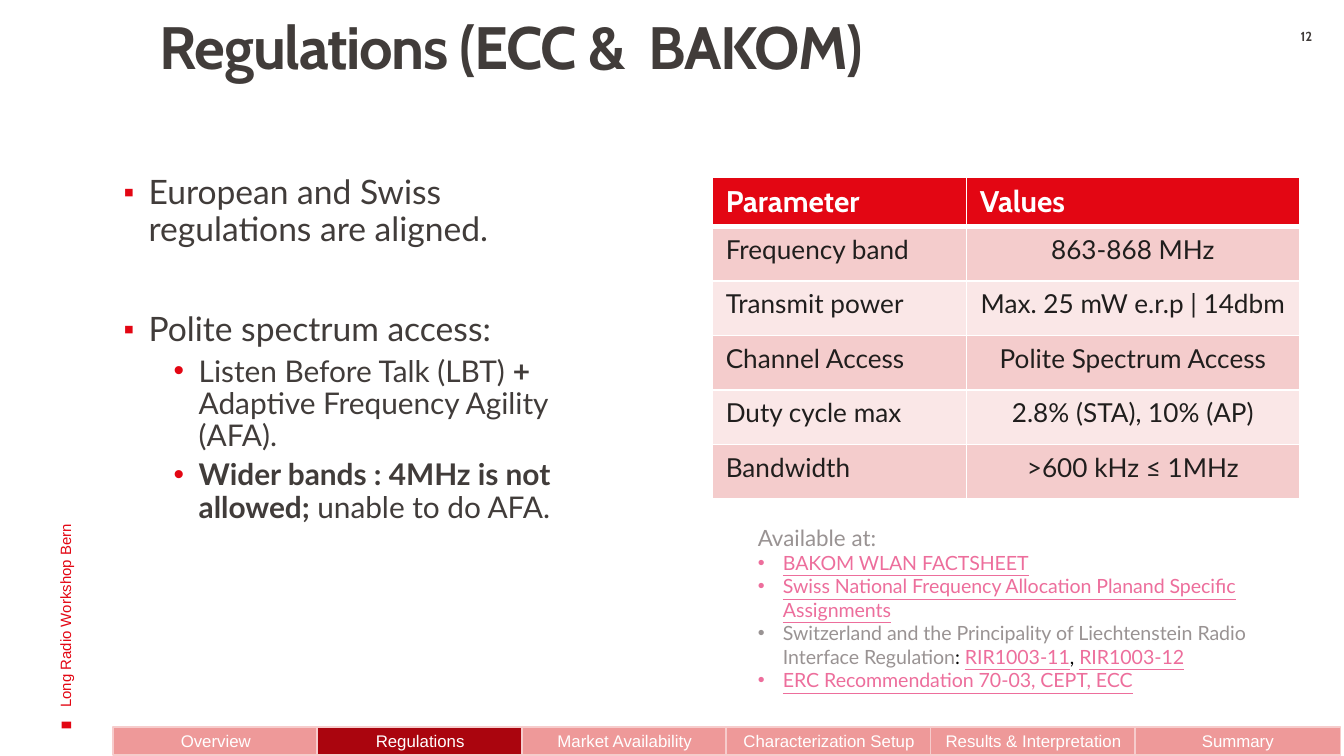
from dataclasses import dataclass

from lxml import etree
from pptx import Presentation
from pptx.dml.color import RGBColor
from pptx.enum.shapes import MSO_SHAPE
from pptx.enum.text import MSO_ANCHOR, MSO_AUTO_SIZE, PP_ALIGN
from pptx.oxml.ns import qn
from pptx.util import Pt

RECT = MSO_SHAPE.RECTANGLE
LEFT, MID = PP_ALIGN.LEFT, PP_ALIGN.CENTER
TOP, CENTRE = MSO_ANCHOR.TOP, MSO_ANCHOR.MIDDLE
NO_FIT = MSO_AUTO_SIZE.NONE


@dataclass(frozen=True)
class Theme:
    head: str = "Cabin"
    body: str = "Lato"
    plain: str = "Arial"
    red: str = "E30613"
    dark: str = "AA050E"
    rose: str = "EE9999"
    edge: str = "F6CCCC"
    odd: str = "F4CCCC"
    even: str = "FAE7E7"
    ink: str = "413C3A"
    cell: str = "201E1D"
    grey: str = "999393"
    link: str = "ED6E9C"
    black: str = "000000"
    white: str = "FFFFFF"
    title: float = 32
    main: float = 18
    sub: float = 16
    data: float = 14
    note: float = 12
    ref: float = 10.5
    tab: float = 9
    side: float = 8
    page: float = 7


T = Theme()
TABS = ["Overview", "Regulations", "Market Availability",
        "Characterization Setup", "Results & Interpretation", "Summary"]
ROWS = [("Parameter", "Values"),
        ("Frequency band", "863-868 MHz"),
        ("Transmit power", "Max. 25 mW e.r.p | 14dbm"),
        ("Channel Access", "Polite Spectrum Access"),
        ("Duty cycle max", "2.8% (STA), 10% (AP)"),
        ("Bandwidth", ">600 kHz ≤ 1MHz")]


def tint(hue):
    return RGBColor.from_string(hue)


def write(para, text, font=T.body, size=T.data, hue=T.ink, bold=False,
          line=False, align=None, track=None):
    """Add one run of text to a paragraph."""
    run = para.add_run()
    run.text = text
    face = run.font
    face.name, face.size, face.bold = font, Pt(size), bold
    face.color.rgb = tint(hue)
    if line:
        face.underline = True
    if align is not None:
        para.alignment = align
    if track is not None:
        run._r.get_or_add_rPr().set("spc", str(round(track * 100)))


def bullet(para, mark, hue, left=13.5, scale=100):
    """Give a paragraph a hanging bullet."""
    props = para._p.get_or_add_pPr()
    props.set("marL", str(Pt(left)))
    props.set("indent", str(-Pt(13.5)))
    shade = etree.SubElement(props, qn("a:buClr"))
    etree.SubElement(shade, qn("a:srgbClr"), val=hue)
    etree.SubElement(props, qn("a:buSzPct"), val=str(scale * 1000))
    etree.SubElement(props, qn("a:buFont"), typeface=T.plain)
    etree.SubElement(props, qn("a:buChar"), char=mark)


def place(shape, x, y, w, h):
    shape.left, shape.top, shape.width, shape.height = map(Pt, (x, y, w, h))


def inset(frame, left, top, right, base):
    frame.margin_left, frame.margin_top = Pt(left), Pt(top)
    frame.margin_right, frame.margin_bottom = Pt(right), Pt(base)


def label(slide, x, y, w, h):
    """Add a wrapping text box."""
    box = slide.shapes.add_textbox(*map(Pt, (x, y, w, h)))
    box.text_frame.word_wrap = True
    return box


def block(slide, x, y, w, h, fill, edge=None):
    """Add a flat rectangle."""
    shape = slide.shapes.add_shape(RECT, *map(Pt, (x, y, w, h)))
    shape.shadow.inherit = False
    shape.fill.solid()
    shape.fill.fore_color.rgb = tint(fill)
    if edge:
        shape.line.color.rgb = tint(edge)
        shape.line.width = Pt(1)
    else:
        shape.line.fill.background()
    return shape


def border(cell, base):
    """Draw white cell edges, with the bottom one as thick as base."""
    props = cell._tc.get_or_add_tcPr()
    for side, width in (("L", 1), ("R", 1), ("T", 1), ("B", base)):
        line = etree.SubElement(props, qn("a:ln" + side), w=str(Pt(width)))
        fill = etree.SubElement(line, qn("a:solidFill"))
        etree.SubElement(fill, qn("a:srgbClr"), val=T.white)


def heading(slide):
    title = slide.shapes.title
    place(title, 71.3, 9.4, 503.3, 84.2)
    frame = title.text_frame
    frame.auto_size, frame.vertical_anchor = NO_FIT, TOP
    inset(frame, 14.4, 0, 5.8, 3.6)
    para = frame.paragraphs[0]
    para.line_spacing = 0.9
    write(para, "Regulations (ECC &  BAKOM)", font=T.head, size=T.title,
          bold=True, align=LEFT, track=-0.7)


def margin(slide):
    """Page number and the upright event name."""
    page = label(slide, 679.7, 15.1, 40.3, 13).text_frame
    inset(page, 7.2, 0, 7.2, 0)
    write(page.paragraphs[0], "12", font=T.head, size=T.page, bold=True,
          align=MID)
    block(slide, 33.8, 385.9, 3.6, 5, T.red).rotation = 270
    event = label(slide, -96.5, 218.9, 262.8, 72)
    event.rotation = 270
    event.text_frame.vertical_anchor = CENTRE
    write(event.text_frame.paragraphs[0], "Long Radio Workshop Bern",
          font=T.plain, size=T.side, hue=T.red)


def tabs(slide):
    for i, name in enumerate(TABS):
        fill = T.dark if name == "Regulations" else T.rose
        tab = block(slide, 60.5 + 109.5 * i, 389.5, 110.2, 15.1, fill, T.edge)
        frame = tab.text_frame
        frame.vertical_anchor = CENTRE
        inset(frame, 0, 0, 0, 0)
        write(frame.paragraphs[0], name, font=T.plain, size=T.tab,
              hue=T.white, align=MID)


def points(slide):
    frame = label(slide, 51.8, 90.7, 283, 262.8).text_frame
    inset(frame, 14.4, 3.6, 7.2, 3.6)
    # Level, space before, then (text, bold) pieces
    items = [
        (0, 0, [("European and Swiss regulations are aligned.", False)]),
        (0, 34.5, [("Polite spectrum access:", False)]),
        (1, 3.8, [("Listen Before Talk (LBT) ", False), ("+ ", True),
                  ("Adaptive Frequency Agility (AFA).", False)]),
        (1, 3.8, [("Wider bands : 4MHz is not allowed; ", True),
                  ("unable to do AFA.", False)]),
    ]
    for i, (level, gap, parts) in enumerate(items):
        para = frame.add_paragraph() if i else frame.paragraphs[0]
        if level:
            para.level = level
            bullet(para, "•", T.red, left=40.3)
        else:
            bullet(para, "▪", T.red, scale=90)
        para.line_spacing, para.space_before = 0.9, Pt(gap)
        for text, bold in parts:
            write(para, text, size=T.sub if level else T.main, bold=bold)


def limits(slide):
    """Table of the radio limits."""
    grid = slide.shapes.add_table(
        len(ROWS), 2, *map(Pt, (381.6, 95, 314.6, 171.8))).table
    for col, width in zip(grid.columns, (136.1, 178.5)):
        col.width = Pt(width)
    for r, row in enumerate(ROWS):
        grid.rows[r].height = Pt(29.2 if r else 25.8)
        fill = (T.odd if r % 2 else T.even) if r else T.red
        for c, text in enumerate(row):
            cell = grid.cell(r, c)
            border(cell, 1 if r else 3)
            cell.fill.solid()
            cell.fill.fore_color.rgb = tint(fill)
            para = cell.text_frame.paragraphs[0]
            if r:
                write(para, text, hue=T.cell, align=MID if c else LEFT)
            else:
                write(para, text, font=T.head, size=T.sub, hue=T.white,
                      bold=True)


def links(slide):
    frame = label(slide, 398.9, 277.2, 283, 101.5).text_frame
    write(frame.paragraphs[0], "Available at:", size=T.note, hue=T.grey)
    items = [
        [("BAKOM WLAN FACTSHEET", T.link)],
        [("Swiss National Frequency Allocation Planand Specific Assignments",
          T.link)],
        [("Switzerland and the Principality of Liechtenstein Radio "
          "Interface Regulation", T.grey), (": ", T.black),
         ("RIR1003-11", T.link), (", ", T.black), ("RIR1003-12", T.link)],
        [("ERC Recommendation 70-03, CEPT, ECC", T.link)],
    ]
    for parts in items:
        para = frame.add_paragraph()
        bullet(para, "•", parts[0][1])
        for text, hue in parts:
            write(para, text, size=T.ref, hue=hue, line=hue == T.link)


def main():
    deck = Presentation()
    deck.slide_width, deck.slide_height = Pt(720), Pt(405)
    slide = deck.slides.add_slide(deck.slide_layouts[5])
    for part in (heading, margin, tabs, points, limits, links):
        part(slide)
    deck.save("out.pptx")


if __name__ == "__main__":
    main()
